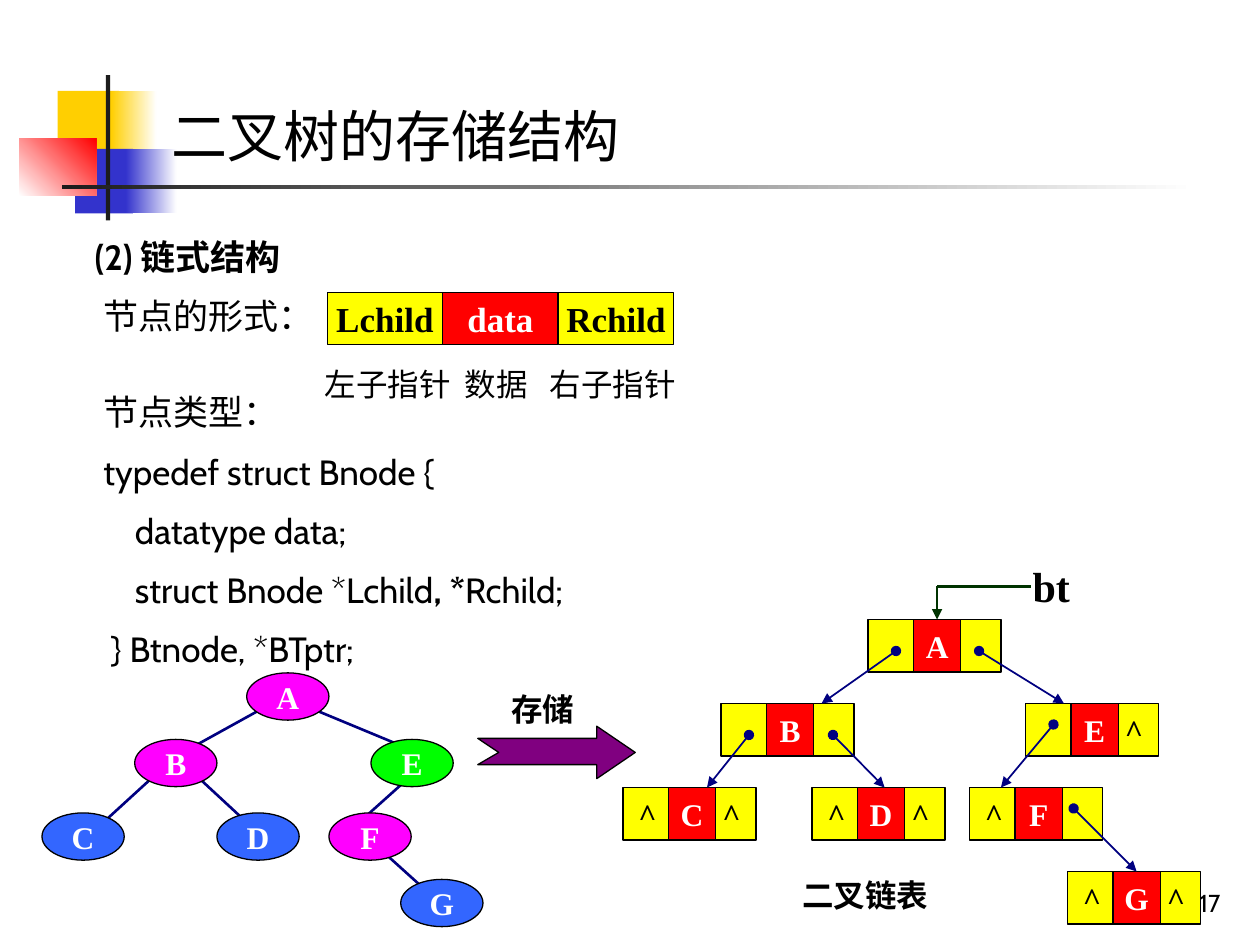
from dataclasses import dataclass

from lxml.etree import SubElement
from pptx import Presentation
from pptx.dml.color import RGBColor
from pptx.enum.shapes import MSO_CONNECTOR, MSO_SHAPE
from pptx.enum.text import MSO_ANCHOR, PP_ALIGN
from pptx.oxml.ns import qn
from pptx.util import Pt


@dataclass(frozen=True)
class Theme:
    black: str = "000000"
    white: str = "FFFFFF"
    ink: str = "1C1C1C"
    gold: str = "FFCF01"
    indigo: str = "3333CC"
    red: str = "FF0000"
    yellow: str = "FFFF00"
    navy: str = "000080"
    dark_green: str = "003300"
    magenta: str = "FF00FF"
    blue: str = "3366FF"
    green: str = "00FF00"
    purple: str = "800080"
    sans: str = "Cabin"
    serif: str = "Times New Roman"
    cjk: str = "Noto Sans CJK JP"
    title: int = 32
    pointer: int = 24
    body: int = 20
    label: int = 18
    number: int = 14


@dataclass(frozen=True)
class Box:
    left: float
    top: float
    width: float
    height: float

    def inner(self, dx, dy, width, height):
        return Box(self.left + dx, self.top + dy, width, height)

    def point(self, dx, dy):
        return self.left + dx, self.top + dy

    def lengths(self):
        return [Pt(v) for v in (self.left, self.top, self.width, self.height)]


THEME = Theme()


def format_run(run, size, font, color=THEME.black, bold=False):
    run.font.size, run.font.name, run.font.bold = Pt(size), font, bold
    run.font.color.rgb = RGBColor.from_string(color)
    SubElement(run._r.get_or_add_rPr(), qn("a:ea"), typeface=THEME.cjk)


def add_text(slide, box, text, size, font, bold=False, align=PP_ALIGN.LEFT):
    frame = slide.shapes.add_textbox(*box.lengths()).text_frame
    frame.word_wrap = True
    frame.text = text
    for paragraph in frame.paragraphs:
        paragraph.alignment = align
        for run in paragraph.runs:
            format_run(run, size, font, bold=bold)
    return frame


def outline(shape, fill):
    shape.shadow.inherit = False
    shape.fill.solid()
    shape.fill.fore_color.rgb = RGBColor.from_string(fill)
    shape.line.color.rgb = RGBColor.from_string(THEME.black)
    shape.line.width = Pt(0.75)


def add_node(slide, kind, box, text, fill, color=THEME.white, size=THEME.label):
    node = slide.shapes.add_shape(kind, *box.lengths())
    outline(node, fill)
    if text:
        frame = node.text_frame
        frame.text = text
        frame.word_wrap = False
        frame.vertical_anchor = MSO_ANCHOR.MIDDLE
        frame.paragraphs[0].alignment = PP_ALIGN.CENTER
        format_run(frame.paragraphs[0].runs[0], size, THEME.serif, color, True)
    return node


def add_line(slide, start, end, color, width, head=None, tail=None):
    line = slide.shapes.add_connector(
        MSO_CONNECTOR.STRAIGHT, *(Pt(v) for v in (*start, *end)))
    line.line.color.rgb = RGBColor.from_string(color)
    line.line.width = Pt(width)
    properties = line._element.spPr
    for tag, kind in (("a:headEnd", head), ("a:tailEnd", tail)):
        if kind:
            SubElement(properties.find(qn("a:ln")), qn(tag), type=kind)
    SubElement(properties, qn("a:effectLst"))
    return line


def add_band(slide, box, color, end_color=None, angle=0):
    band = slide.shapes.add_shape(MSO_SHAPE.RECTANGLE, *box.lengths())
    band.shadow.inherit = False
    band.line.fill.background()
    if end_color is None:
        band.fill.solid()
        band.fill.fore_color.rgb = RGBColor.from_string(color)
        return
    band.fill.gradient()
    band.fill.gradient_angle = angle
    for stop, stop_color in zip(band.fill.gradient_stops, (color, end_color)):
        stop.color.rgb = RGBColor.from_string(stop_color)


def add_title(slide, box):
    add_band(slide, box.inner(22, 9, 35, 37), THEME.gold)
    add_band(slide, box.inner(52.5, 9, 26, 37), THEME.gold, THEME.white)
    add_band(slide, box.inner(32, 42, 33, 37), THEME.indigo)
    add_band(slide, box.inner(61, 42, 29, 37), THEME.indigo, THEME.white)
    add_band(slide, box.inner(0, 36, 44, 33), THEME.white, THEME.red, 45)
    add_band(slide, box.inner(49.5, 0, 2.5, 83), THEME.ink)
    add_band(slide, box.inner(24.5, 62.5, 648, 2.5), THEME.ink, THEME.white)
    add_text(slide, box.inner(80, 11.5, 629, 46), "二叉树的存储结构", THEME.title, THEME.cjk)


def add_node_format(slide, box):
    add_text(slide, box.inner(0, 0, 518, 41), "(2) 链式结构", THEME.body, THEME.sans, True)
    add_text(slide, box.inner(5, 34, 138, 34), "节点的形式：", THEME.body, THEME.sans)
    fields = (("Lchild", THEME.yellow, THEME.black), ("data", THEME.red, THEME.white),
              ("Rchild", THEME.yellow, THEME.black))
    for column, (field, fill, color) in enumerate(fields):
        add_node(slide, MSO_SHAPE.RECTANGLE, box.inner(140 + 66 * column, 36, 66, 30),
                 field, fill, color, THEME.body)
    meanings = add_text(slide, box.inner(131.5, 74, 241, 34), "左子指针\t数据\t右子指针",
                        THEME.label, THEME.sans)
    tabs = SubElement(meanings.paragraphs[0]._p.get_or_add_pPr(), qn("a:tabLst"))
    for stop in (80, 128.5):
        SubElement(tabs, qn("a:tab"), pos=str(Pt(stop)), algn="l")


def add_declaration(slide, box):
    lines = ("节点类型：", "typedef struct Bnode {", "    datatype data;",
             "    struct Bnode *Lchild", " } Btnode, *BTptr;")
    frame = add_text(slide, box, "\n".join(lines), THEME.body, THEME.sans)
    for text, bold in ((", *", True), ("Rchild;", False)):
        run = frame.paragraphs[3].add_run()
        run.text = text
        format_run(run, THEME.body, THEME.sans, bold=bold)
    for index, paragraph in enumerate(frame.paragraphs):
        paragraph.line_spacing = 1.2
        paragraph.space_before = Pt(5 if index else 0)


def add_tree(slide, box):
    edges = (((158, 22), (211, 44)), ((82, 53), (123, 91)), ((123, 22), (76, 48)),
             ((76, 48), (29, 91)), ((223, 48), (175, 91)), ((188, 96), (229, 133)))
    for start, end in edges:
        add_line(slide, box.point(*start), box.point(*end), THEME.navy, 1.5)
    nodes = (("A", 117, 0, THEME.magenta), ("B", 53, 38, THEME.magenta),
             ("C", 0, 80, THEME.blue), ("D", 100, 80, THEME.blue),
             ("E", 188, 38, THEME.green), ("F", 164, 80, THEME.magenta),
             ("G", 205, 118, THEME.blue))
    for letter, dx, dy, fill in nodes:
        add_node(slide, MSO_SHAPE.OVAL, box.inner(dx, dy, 47, 27), letter, fill)


def add_storage_arrow(slide, box):
    corners = [(0, 31), (68, 31), (68, 24), (90, 39), (68, 54), (68, 46), (0, 46), (12, 39)]
    start, *rest = [tuple(Pt(v) for v in box.point(*corner)) for corner in corners]
    builder = slide.shapes.build_freeform(*start)
    builder.add_line_segments(rest, close=True)
    outline(builder.convert_to_shape(), THEME.purple)
    add_text(slide, box.inner(12, 0, 60, 29), "存储", THEME.label, THEME.serif, True)


def add_linked_list(slide, box):
    row_pitch = 48
    records = (("A", 140, 0, "", ""), ("B", 56, 1, "", ""), ("C", 0, 2, "^", "^"),
               ("D", 108, 2, "^", "^"), ("E", 230, 1, "", "^"), ("F", 198, 2, "^", ""),
               ("G", 254, 3, "^", "^"))
    data_cells = {}
    for letter, dx, row, left_mark, right_mark in records:
        record = box.inner(dx, row * row_pitch, 76, 30)
        for offset, mark in ((0, left_mark), (48, right_mark)):
            add_node(slide, MSO_SHAPE.RECTANGLE, record.inner(offset, 0, 28, 30),
                     mark, THEME.yellow, THEME.black)
        data_cells[letter] = add_node(
            slide, MSO_SHAPE.RECTANGLE, record.inner(26, 0, 27, 30), letter, THEME.red)

    pointers = (((156, 18), (113.5, 48)), ((203.5, 18), (252, 48)), ((72, 66), (48, 96)),
                ((120, 66), (149.5, 96)), ((246, 60), (216, 96)), ((257.5, 108), (293.5, 144)))
    for start, end in pointers:
        pointer = add_line(slide, box.point(*start), box.point(*end),
                           THEME.navy, 1, "oval", "triangle")
    pointer.end_connect(data_cells["G"], 0)

    bend = box.point(179.5, -19)
    root_arrow = add_line(slide, bend, box.point(179.5, 0), THEME.dark_green, 1.5,
                          tail="triangle")
    root_arrow.end_connect(data_cells["A"], 0)
    add_line(slide, bend, box.point(233, -19), THEME.dark_green, 1.5)
    add_text(slide, box.inner(227, -37, 42, 36), "bt", THEME.pointer, THEME.serif, True)
    add_text(slide, box.inner(95.5, 143, 102, 29), "二叉链表", THEME.label, THEME.serif, True)


def add_page_number(slide, box):
    frame = add_text(slide, box, "17", THEME.number, THEME.sans, align=PP_ALIGN.RIGHT)
    frame.vertical_anchor = MSO_ANCHOR.BOTTOM


def main():
    deck = Presentation()
    deck.slide_width, deck.slide_height = Pt(720), Pt(540)
    slide = deck.slides.add_slide(deck.slide_layouts[6])
    add_title(slide, Box(11, 43, 709, 83))
    add_page_number(slide, Box(554.5, 492, 150, 36))
    add_node_format(slide, Box(47, 131, 518, 108))
    add_declaration(slide, Box(52, 215, 440, 146))
    add_tree(slide, Box(24, 384.5, 252, 145))
    add_storage_arrow(slide, Box(273, 391, 90, 54))
    add_linked_list(slide, Box(356, 354, 330, 174))
    deck.save("out.pptx")


if __name__ == "__main__":
    main()
